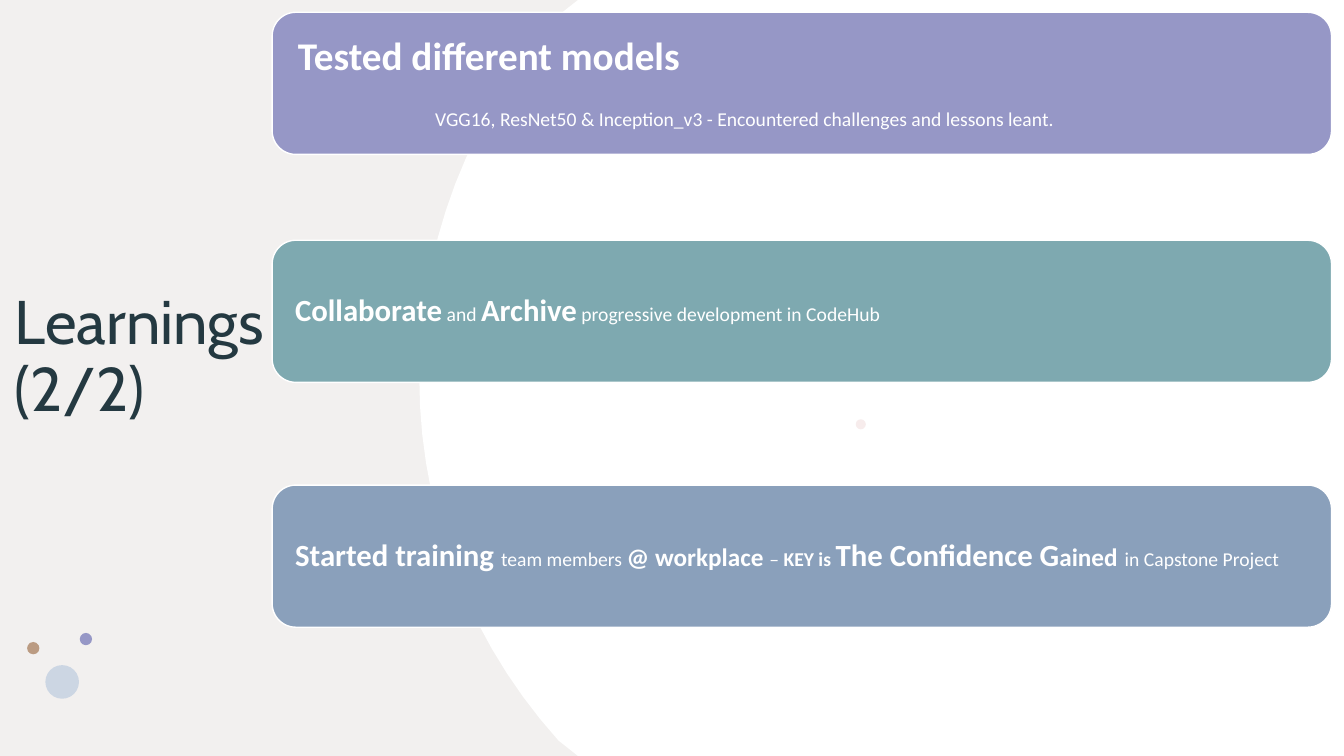
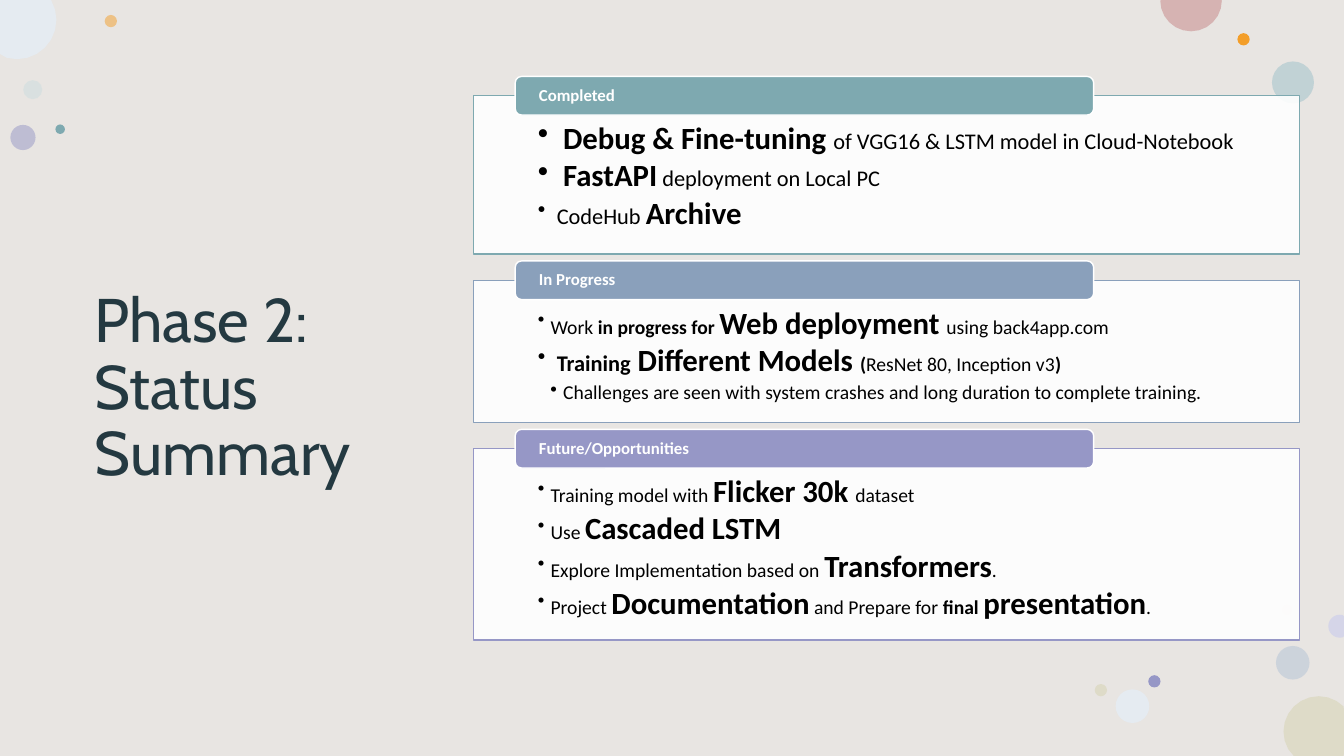
from dataclasses import dataclass
from math import cos, radians, sin

from lxml import etree
from pptx import Presentation
from pptx.dml.color import RGBColor
from pptx.enum.shapes import MSO_SHAPE
from pptx.enum.text import MSO_ANCHOR, PP_ALIGN
from pptx.oxml.ns import qn
from pptx.shapes.autoshape import Shape
from pptx.slide import Slide
from pptx.text.text import TextFrame
from pptx.util import Pt

RECTANGLE = MSO_SHAPE.RECTANGLE
ROUNDED = MSO_SHAPE.ROUNDED_RECTANGLE
OVAL = MSO_SHAPE.OVAL
TOP, MIDDLE = MSO_ANCHOR.TOP, MSO_ANCHOR.MIDDLE
LEFT = PP_ALIGN.LEFT

# Shared look
SLIDE_WIDTH, SLIDE_HEIGHT = 960, 540
TITLE_FONT, BODY_FONT = "Cabin", "Calibri"
TITLE_SIZE = 44
TITLE_WIDTH, TITLE_HEIGHT = 225.4, 406
INK, WHITE, BLACK = "243941", "FFFFFF", "000000"
TEAL, BLUE, PURPLE = "7EA9B0", "8AA0BB", "9697C6"
ORANGE, PALE_BLUE, SAND, ROSE = "F39E29", "E5EBF1", "DEDBC8", "E3BEBE"
LINE_SPACING = 0.9


@dataclass(frozen=True)
class Span:
    text: str
    size: float = 14
    bold: bool = False


@dataclass(frozen=True)
class Line:
    spans: list[Span]
    indent: float = 0
    hanging: float = 0
    space_after: float = 0


@dataclass(frozen=True)
class Bubble:
    x: float
    y: float
    radius: float
    color: str
    opacity: int = 100


@dataclass(frozen=True)
class Bar:
    top: float
    color: str
    inset: float
    lines: list[Line]


@dataclass(frozen=True)
class Panel:
    heading: str
    height: float
    color: str
    lines: list[Line]


def rgb(color: str) -> RGBColor:
    return RGBColor.from_string(color)


def paint(shape: Shape, color: str, opacity: int = 100, border: str = "") -> None:
    shape.shadow.inherit = False
    shape.fill.solid()
    shape.fill.fore_color.rgb = rgb(color)
    if opacity < 100:
        color_element = shape._element.spPr.find(qn("a:solidFill"))[0]
        etree.SubElement(color_element, qn("a:alpha"), val=str(opacity * 1000))
    if border:
        shape.line.color.rgb = rgb(border)
        shape.line.width = Pt(1)
    else:
        shape.line.fill.background()


def prepare_frame(frame: TextFrame, anchor: MSO_ANCHOR, inset_x: float,
                  inset_y: float) -> None:
    frame.word_wrap = True
    frame.vertical_anchor = anchor
    frame.margin_left = frame.margin_right = Pt(inset_x)
    frame.margin_top = frame.margin_bottom = Pt(inset_y)


def write_lines(frame: TextFrame, lines: list[Line], color: str,
                font: str = BODY_FONT) -> None:
    for index, line in enumerate(lines):
        paragraph = frame.paragraphs[0] if index == 0 else frame.add_paragraph()
        properties = paragraph._p.get_or_add_pPr()
        properties.set("marL", str(Pt(line.indent)))
        properties.set("indent", str(Pt(-line.hanging)))
        if line.hanging:
            etree.SubElement(properties, qn("a:buChar"), char="•")
        paragraph.alignment = LEFT
        paragraph.line_spacing = LINE_SPACING
        paragraph.space_after = Pt(line.space_after)
        for span in line.spans:
            run = paragraph.add_run()
            run.text = span.text
            run.font.name = font
            run.font.size = Pt(span.size)
            run.font.bold = span.bold
            run.font.color.rgb = rgb(color)


def add_box(slide: Slide, kind: MSO_SHAPE, left: float, top: float,
            width: float, height: float) -> Shape:
    return slide.shapes.add_shape(kind, Pt(left), Pt(top), Pt(width), Pt(height))


def add_bubble(slide: Slide, bubble: Bubble) -> None:
    """Draw a circle, cut off at the slide edges where it crosses them."""
    x, y, radius = bubble.x, bubble.y, bubble.radius
    inside = (radius <= x <= SLIDE_WIDTH - radius
              and radius <= y <= SLIDE_HEIGHT - radius)
    if inside:
        shape = add_box(slide, OVAL, x - radius, y - radius, 2 * radius, 2 * radius)
    else:
        step = 3 if radius > 100 else 15
        points = [
            (Pt(min(max(x + radius * cos(radians(angle)), 0), SLIDE_WIDTH)),
             Pt(min(max(y + radius * sin(radians(angle)), 0), SLIDE_HEIGHT)))
            for angle in range(0, 360, step)
        ]
        builder = slide.shapes.build_freeform(*points[0])
        builder.add_line_segments(points[1:], close=True)
        shape = builder.convert_to_shape()
    paint(shape, bubble.color, bubble.opacity)


def add_title(slide: Slide, left: float, top: float, rows: list[str]) -> None:
    box = slide.shapes.add_textbox(Pt(left), Pt(top), Pt(TITLE_WIDTH), Pt(TITLE_HEIGHT))
    prepare_frame(box.text_frame, MIDDLE, 7.2, 3.6)
    lines = [Line([Span(row, TITLE_SIZE)]) for row in rows]
    write_lines(box.text_frame, lines, INK, TITLE_FONT)


def start_slide(presentation: Presentation, background: str,
                bubbles: list[Bubble]) -> Slide:
    slide = presentation.slides.add_slide(presentation.slide_layouts[6])
    slide.background.fill.solid()
    slide.background.fill.fore_color.rgb = rgb(background)
    for bubble in bubbles:
        add_bubble(slide, bubble)
    return slide


def bullet(*spans: Span, indent: float = 9, hanging: float = 9) -> Line:
    return Line(list(spans), indent, hanging, space_after=3)


# Learnings slide
BAR_LEFT, BAR_WIDTH, BAR_HEIGHT = 194.4, 756.7, 101.5
LEARNING_BUBBLES = [
    Bubble(686.5, 270, 387, WHITE),
    Bubble(614.9, 303.1, 3.6, ROSE, 28),
    Bubble(61.4, 456.5, 4.4, PURPLE),
    Bubble(44.4, 487.1, 12, "CCD6E3"),
    Bubble(23.8, 463, 4.4, "BB9B82"),
]
BARS = [
    Bar(8.8, PURPLE, 13.5, [
        Line([Span("Tested different models", 28, True)], space_after=22),
        Line([Span("VGG16, ResNet50 & Inception_v3 - Encountered challenges "
                   "and lessons leant.")], indent=98),
    ]),
    Bar(171.6, TEAL, 11.5, [Line([
        Span("Collaborate", 22, True), Span(" and "), Span("Archive", 22, True),
        Span(" progressive development in CodeHub"),
    ])]),
    Bar(346.5, BLUE, 11.5, [Line([
        Span("Started training ", 22, True), Span("team members "),
        Span("@ workplace ", 18, True), Span("– "), Span("KEY is ", 14, True),
        Span("The Confidence G", 22, True), Span("ained", 18, True),
        Span(" ", 22, True), Span("in Capstone Project"),
    ])]),
]


def build_learnings(presentation: Presentation) -> None:
    slide = start_slide(presentation, "F2F0EF", LEARNING_BUBBLES)
    add_title(slide, 3.6, 52.6, ["Learnings", "(2/2)"])
    for bar in BARS:
        shape = add_box(slide, ROUNDED, BAR_LEFT, bar.top, BAR_WIDTH, BAR_HEIGHT)
        paint(shape, bar.color, border=WHITE)
        prepare_frame(shape.text_frame, MIDDLE, bar.inset, bar.inset)
        write_lines(shape.text_frame, bar.lines, WHITE)


# Status slide
PANEL_LEFT, PANEL_WIDTH = 338.4, 589.7
PANEL_TOP, PANEL_GAP = 68.4, 18.8
HEADING_LEFT, HEADING_WIDTH, HEADING_HEIGHT = 368, 413.2, 27.6
STATUS_BUBBLES = [
    Bubble(23.4, 64.1, 6.8, "CBDDDF", 50),
    Bubble(79.2, 15.1, 4.4, ORANGE, 50),
    Bubble(923.4, 473.4, 12, "B2C2D6", 50),
    Bubble(16.4, 98.2, 9, PURPLE, 50),
    Bubble(923.6, 58.9, 15, "B2CBD0", 72),
    Bubble(888.3, 28.1, 4.4, ORANGE),
    Bubble(919.4, 435.6, 3.6, ROSE, 28),
    Bubble(824.6, 486.7, 4.4, PURPLE),
    Bubble(808.9, 504.4, 12, PALE_BLUE),
    Bubble(786.4, 493, 4.4, SAND),
    Bubble(942, 522.5, 25.2, SAND),
    Bubble(12.2, 14.2, 28.1, PALE_BLUE),
    Bubble(850.8, 0.4, 22, "D6B3B2"),
    Bubble(43, 92.3, 3.4, TEAL),
    Bubble(957, 447.3, 8.2, "D5D5E8"),
]
PANELS = [
    Panel("Completed", 113, TEAL, [
        bullet(Span("Debug & Fine-tuning ", 22, True),
               Span("of VGG16 & LSTM model in Cloud-Notebook", 16),
               indent=18, hanging=18),
        bullet(Span("FastAPI", 22, True), Span(" ", 16, True),
               Span("deployment on Local PC", 16), indent=18, hanging=18),
        bullet(Span("CodeHub ", 16), Span("Archive", 22, True),
               indent=13.5, hanging=13.5),
    ]),
    Panel("In Progress", 101.5, BLUE, [
        bullet(Span("Work "), Span("in progress for ", 14, True),
               Span("Web deployment ", 22, True), Span("using back4app.com")),
        bullet(Span("Training", 16, True), Span(" Different Models ", 22, True),
               Span("(", 14, True), Span("ResNet 80, Inception v3"),
               Span(")", 14, True), indent=13.5, hanging=13.5),
        bullet(Span("Challenges are seen with system crashes and long duration "
                    "to complete training."), indent=18),
    ]),
    Panel("Future/Opportunities", 136.8, PURPLE, [
        bullet(Span("Training model with "), Span("Flicker 30k ", 22, True),
               Span("dataset")),
        bullet(Span("Use "), Span("Cascaded LSTM", 22, True)),
        bullet(Span("Explore Implementation based on "),
               Span("Transformers", 22, True), Span(".")),
        bullet(Span("Project "), Span("Documentation", 22, True),
               Span(" and Prepare for "), Span("final ", 14, True),
               Span("presentation", 22, True), Span(".")),
    ]),
]


def add_panel(slide: Slide, panel: Panel, top: float) -> None:
    body = add_box(slide, RECTANGLE, PANEL_LEFT, top, PANEL_WIDTH, panel.height)
    paint(body, WHITE, 90, border=panel.color)
    prepare_frame(body.text_frame, TOP, 45.8, 19.4)
    write_lines(body.text_frame, panel.lines, BLACK)

    heading = add_box(slide, ROUNDED, HEADING_LEFT, top - HEADING_HEIGHT / 2,
                      HEADING_WIDTH, HEADING_HEIGHT)
    paint(heading, panel.color, border=WHITE)
    prepare_frame(heading.text_frame, MIDDLE, 15.6, 0)
    write_lines(heading.text_frame, [Line([Span(panel.heading, 12, True)])], WHITE)


def build_status(presentation: Presentation) -> None:
    slide = start_slide(presentation, "E8E5E2", STATUS_BUBBLES)
    add_title(slide, 60.5, 74.9, ["Phase 2: Status Summary"])
    top = PANEL_TOP
    for panel in PANELS:
        add_panel(slide, panel, top)
        top += panel.height + PANEL_GAP


def main() -> None:
    presentation = Presentation()
    presentation.slide_width = Pt(SLIDE_WIDTH)
    presentation.slide_height = Pt(SLIDE_HEIGHT)
    build_learnings(presentation)
    build_status(presentation)
    presentation.save("out.pptx")


if __name__ == "__main__":
    main()
